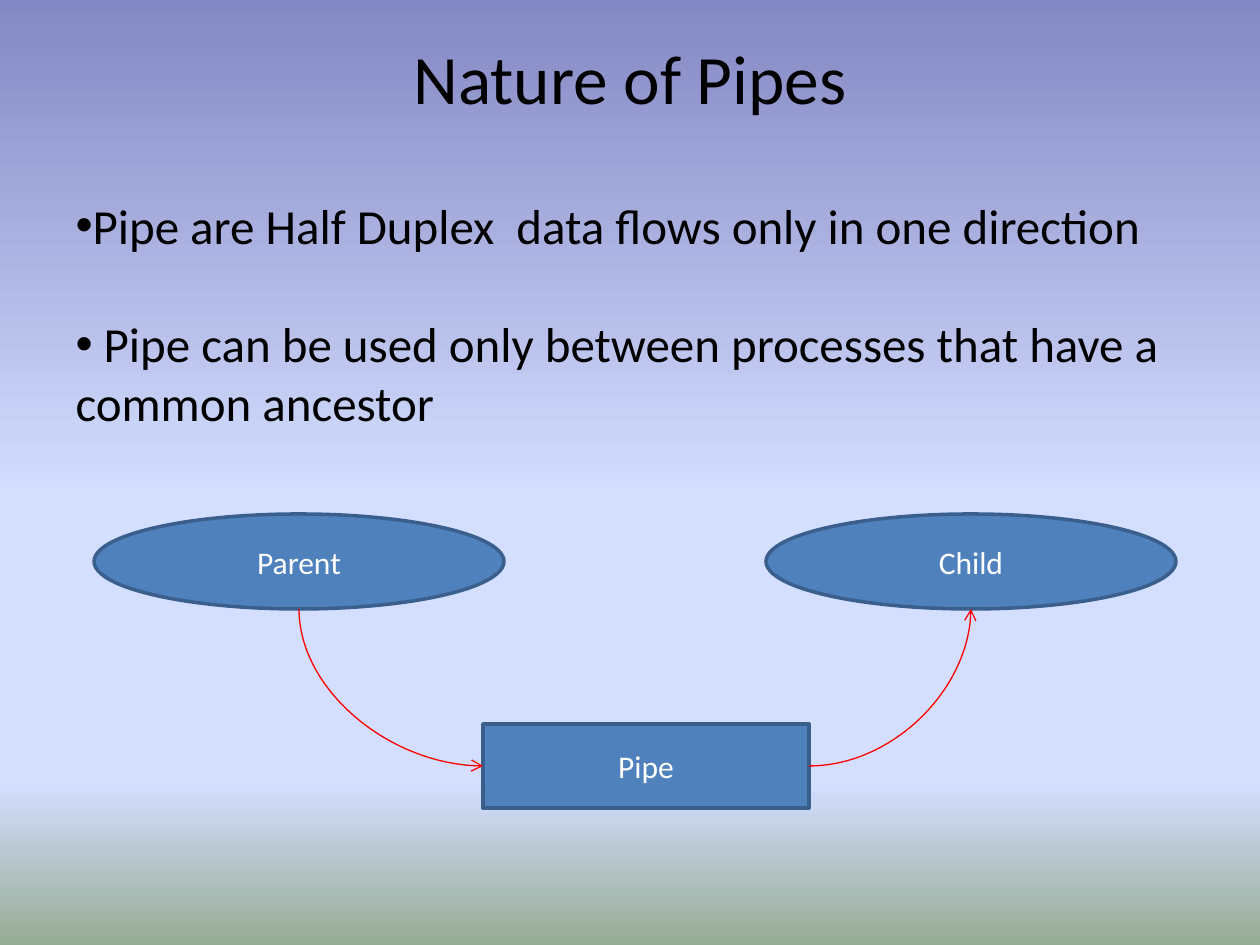
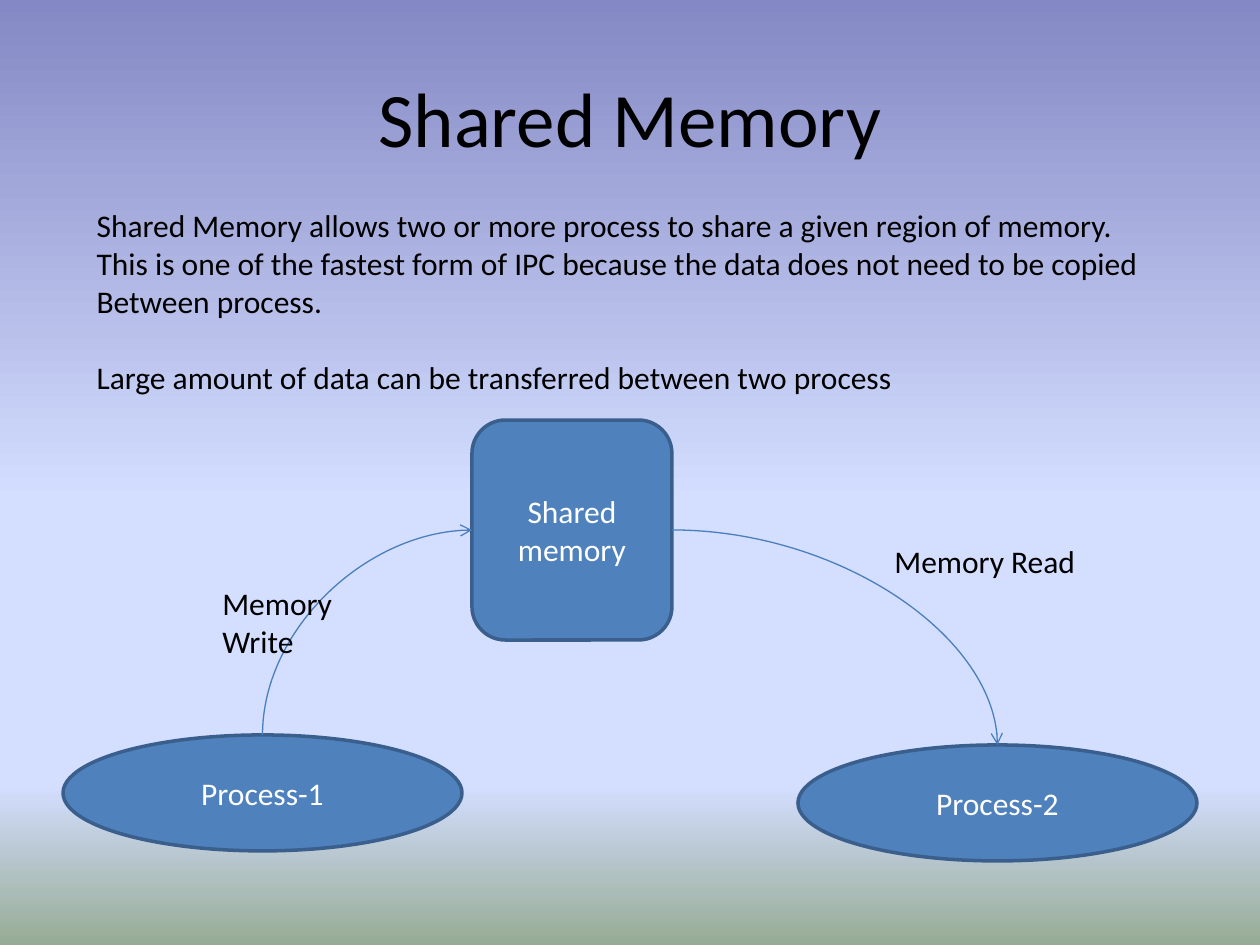
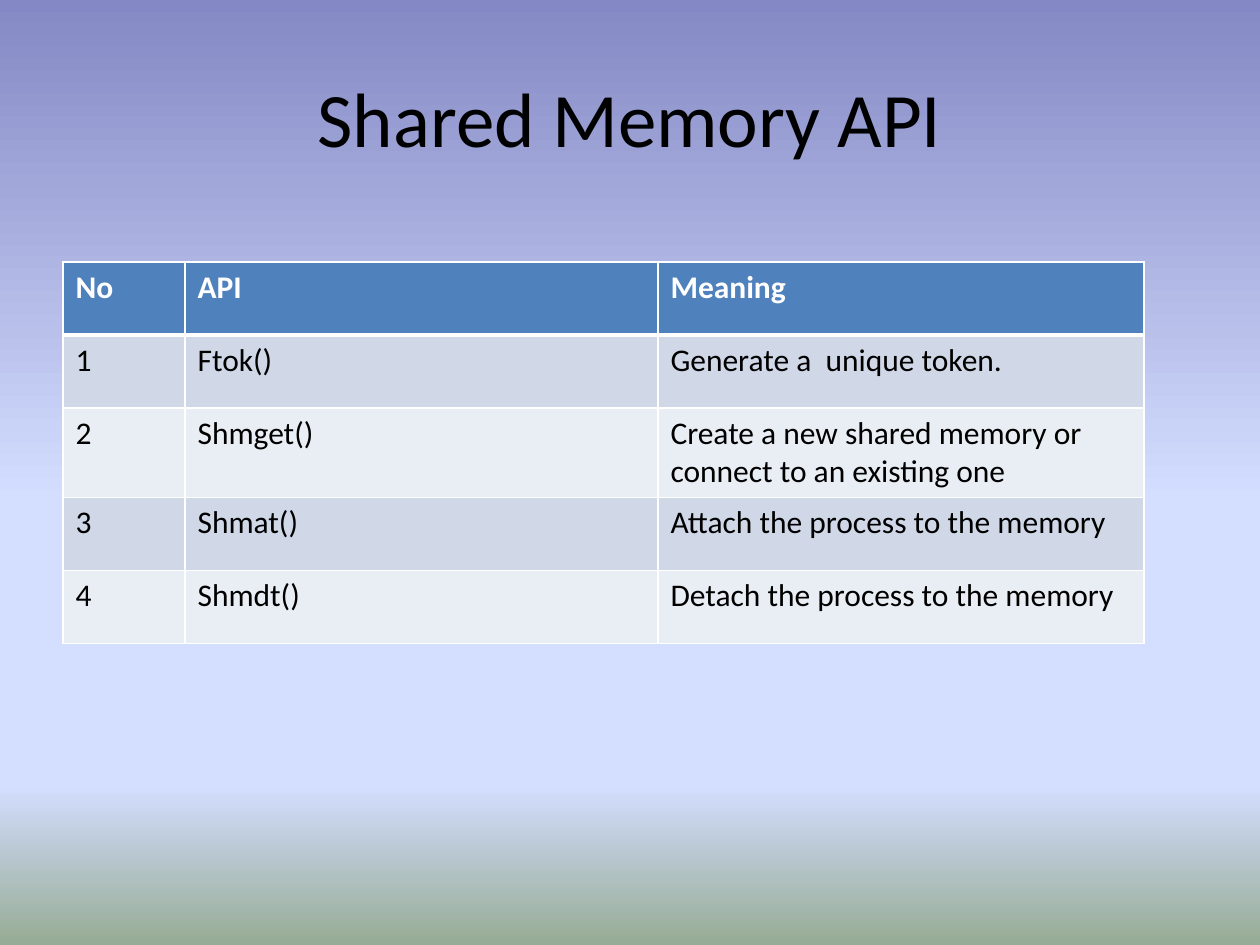
import pptx
import pptx.util
import pptx.dml.color
import pptx.enum.shapes
import pptx.enum.text
import pptx.oxml
import pptx.oxml.ns
from dataclasses import dataclass
from lxml import etree

SHAPE = pptx.enum.shapes.MSO_SHAPE
ALIGN = pptx.enum.text.PP_ALIGN
ANCHOR = pptx.enum.text.MSO_ANCHOR
FIT = pptx.enum.text.MSO_AUTO_SIZE
qn = pptx.oxml.ns.qn
PIXEL = 914400 // 126


@dataclass(frozen=True)
class Theme:
    font: str = "Calibri"
    ink: str = "000000"
    paper: str = "FFFFFF"
    node: str = "4F81BD"
    edge: str = "3A5F8C"
    pipe_arrow: str = "FF0000"
    memory_arrow: str = "4B7EBC"
    bands: tuple = ("D0D8E8", "E9EDF4")
    sky: tuple = ((0, "8488C4"), (53, "D4DEFF"), (83, "D4DEFF"), (100, "96AB94"))
    title: float = 44
    small_title: float = 39.6
    lead: float = 28
    body: float = 18
    leading: float = 1.22


THEME = Theme()

# Content: boxes are left, top, width, height in pixels
TITLE_BOX = (63, 38, 1134, 157)
PIPES = {
    "title": "Nature of Pipes",
    "title_box": (63, 38, 1134, 78),
    "title_size": THEME.small_title,
    "body_box": (63, 189, 1166, 289),
    "body_size": THEME.lead,
    "bullet": "•",
    "groups": [
        ["Pipe are Half Duplex  data flows only in one direction"],
        [" Pipe can be used only between processes that have a common ancestor"],
    ],
    "nodes": {
        "Parent": (SHAPE.OVAL, (94, 514, 410, 95)),
        "Child": (SHAPE.OVAL, (766, 514, 410, 95)),
        "Pipe": (SHAPE.RECTANGLE, (483, 724, 326, 84)),
    },
    "arrow_color": THEME.pipe_arrow,
    "arrows": [("Parent", "bottom", "Pipe", "left"), ("Pipe", "right", "Child", "bottom")],
    "labels": [],
}
MEMORY = {
    "title": "Shared Memory",
    "title_box": TITLE_BOX,
    "title_size": THEME.title,
    "body_box": (84, 200, 1080, 204),
    "body_size": THEME.body,
    "bullet": None,
    "groups": [
        [
            "Shared Memory allows two or more process to share a given region of memory.",
            "This is one of the fastest form of IPC because the data does not need to be copied",
            "Between process.",
        ],
        ["Large amount of data can be transferred between two process"],
    ],
    "nodes": {
        "Process-1": (SHAPE.OVAL, (63, 735, 399, 116)),
        "Process-2": (SHAPE.OVAL, (798, 745, 399, 116)),
        "Shared memory": (SHAPE.ROUNDED_RECTANGLE, (472, 420, 200, 220)),
    },
    "arrow_color": THEME.memory_arrow,
    "arrows": [
        ("Process-1", "top", "Shared memory", "left"),
        ("Shared memory", "right", "Process-2", "top"),
    ],
    "labels": [
        (["Memory", "Write"], (210, 578, 136, 89)),
        (["Memory Read"], (882, 536, 208, 50)),
    ],
}
API_TITLE = "Shared Memory API"
API_ORIGIN = (63, 262)
API_COLUMNS = (122, 473, 486)
API_ROW = 73
API_ROWS = [
    ("No", "API", "Meaning"),
    ("1", "Ftok()", "Generate a  unique token."),
    ("2", "Shmget()", "Create a new shared memory or connect to an existing one"),
    ("3", "Shmat()", "Attach the process to the memory"),
    ("4", "Shmdt()", "Detach the process to the memory"),
]


# Helpers
def px(*values):
    return [round(value * PIXEL) for value in values]


def rgb(code):
    return pptx.dml.color.RGBColor.from_string(code)


def apply(target, formats):
    for name, value in formats.items():
        setattr(target, name, value)


def place(shape, box):
    apply(shape, dict(zip(("left", "top", "width", "height"), px(*box))))


def write(para, text, size, color=THEME.ink, bold=False, **formats):
    span = para.add_run()
    span.text = text
    apply(span.font, {"name": THEME.font, "size": pptx.util.Pt(size), "bold": bold})
    span.font.color.rgb = rgb(color)
    apply(para, formats)


def paint(shape, fill, line, width):
    shape.shadow.inherit = False
    shape.fill.solid()
    shape.fill.fore_color.rgb = rgb(fill)
    shape.line.color.rgb = rgb(line)
    shape.line.width = pptx.util.Pt(width)


def paragraphs(frame, count):
    return [frame.paragraphs[0]] + [frame.add_paragraph() for _ in range(count - 1)]


def add_page(deck, layout, title, box, size):
    page = deck.slides.add_slide(deck.slide_layouts.get_by_name(layout))
    place(page.shapes.title, box)
    frame = page.shapes.title.text_frame
    apply(frame, {"auto_size": FIT.NONE, "vertical_anchor": ANCHOR.MIDDLE})
    write(frame.paragraphs[0], title, size, alignment=ALIGN.CENTER)
    return page


def fill_body(body, content):
    """Groups of lines, one line's height apart."""
    place(body, content["body_box"])
    size, bullet = content["body_size"], content["bullet"]
    frame = body.text_frame
    apply(frame, {"auto_size": FIT.NONE, "word_wrap": bool(bullet)})
    lines = [(text, group > 0 and row == 0)
             for group, texts in enumerate(content["groups"])
             for row, text in enumerate(texts)]
    for para, (text, gap) in zip(paragraphs(frame, len(lines)), lines):
        before = size * THEME.leading if gap else 0
        write(para, text, size, space_before=pptx.util.Pt(before))
        props = para._p.get_or_add_pPr()
        props.set("marL", "0")
        props.set("indent", "0")
        if bullet:
            etree.SubElement(props, qn("a:buChar"), char=bullet)
        else:
            etree.SubElement(props, qn("a:buNone"))


def add_node(page, text, kind, box):
    node = page.shapes.add_shape(kind, *px(*box))
    paint(node, THEME.node, THEME.edge, 2)
    node.text_frame.word_wrap = True
    node.text_frame.vertical_anchor = ANCHOR.MIDDLE
    write(node.text_frame.paragraphs[0], text, THEME.body, THEME.paper,
          alignment=ALIGN.CENTER)


def side_point(box, side):
    left, top, width, height = box
    across, down = {"left": (0, 0.5), "right": (1, 0.5),
                    "top": (0.5, 0), "bottom": (0.5, 1)}[side]
    return left + across * width, top + down * height


def add_curve(page, start, end, upright, color):
    """A quarter curve; one that leaves vertically is turned by 270 degrees."""
    if upright:
        mid_x, mid_y = (start[0] + end[0]) / 2, (start[1] + end[1]) / 2
        start, end = [(mid_x - (y - mid_y), mid_y + (x - mid_x)) for x, y in (start, end)]
    curve = page.shapes.add_connector(
        pptx.enum.shapes.MSO_CONNECTOR.CURVE, *px(*start, *end))
    curve.line.color.rgb = rgb(color)
    curve.line.width = pptx.util.Pt(0.75)
    props = curve._element.spPr
    props.find(qn("a:prstGeom")).set("prst", "curvedConnector2")
    if upright:
        props.find(qn("a:xfrm")).set("rot", str(270 * 60000))
    etree.SubElement(props.find(qn("a:ln")), qn("a:tailEnd"), type="arrow")
    etree.SubElement(props, qn("a:effectLst"))


def add_label(page, lines, box):
    label = page.shapes.add_textbox(*px(*box))
    label.text_frame.word_wrap = False
    for para, text in zip(paragraphs(label.text_frame, len(lines)), lines):
        write(para, text, THEME.body)


def add_diagram(deck, content):
    page = add_page(deck, "Title and Content", content["title"],
                    content["title_box"], content["title_size"])
    fill_body(page.placeholders[1], content)
    nodes = content["nodes"]
    for text, (kind, box) in nodes.items():
        add_node(page, text, kind, box)
    for source, leave, target, arrive in content["arrows"]:
        add_curve(page, side_point(nodes[source][1], leave),
                  side_point(nodes[target][1], arrive),
                  leave in ("top", "bottom"), content["arrow_color"])
    for lines, box in content["labels"]:
        add_label(page, lines, box)


def add_borders(cell, widths):
    props = cell._tc.get_or_add_tcPr()
    for index, (side, width) in enumerate(widths.items()):
        line = etree.Element(qn("a:ln" + side), w=str(pptx.util.Pt(width)))
        fill = etree.SubElement(line, qn("a:solidFill"))
        etree.SubElement(fill, qn("a:srgbClr"), val=THEME.paper)
        props.insert(index, line)


def add_api_table(page):
    size = (sum(API_COLUMNS), API_ROW * len(API_ROWS))
    table = page.shapes.add_table(
        len(API_ROWS), len(API_COLUMNS), *px(*API_ORIGIN, *size)).table
    for column, width in zip(table.columns, px(*API_COLUMNS)):
        column.width = width
    for row, texts in enumerate(API_ROWS):
        table.rows[row].height = px(API_ROW)[0]
        head = row == 0
        for column, text in enumerate(texts):
            cell = table.cell(row, column)
            cell.fill.solid()
            cell.fill.fore_color.rgb = rgb(THEME.node if head else THEME.bands[(row - 1) % 2])
            write(cell.text_frame.paragraphs[0], text, THEME.body,
                  THEME.paper if head else THEME.ink, head)
            add_borders(cell, {"L": 1, "R": 1, "T": 3 if row == 1 else 1, "B": 3 if head else 1})


def paint_background(master):
    fill = master.background.fill
    fill.gradient()
    fill.gradient_angle = 270
    stops = next(master._element.iter(qn("a:gsLst")))
    for stop in list(stops):
        stops.remove(stop)
    for percent, color in THEME.sky:
        stop = etree.SubElement(stops, qn("a:gs"), pos=str(percent * 1000))
        etree.SubElement(stop, qn("a:srgbClr"), val=color)


# Build the deck
deck = pptx.Presentation()
deck.slide_width, deck.slide_height = px(1260, 945)
paint_background(deck.slide_master)
add_diagram(deck, PIPES)
add_diagram(deck, MEMORY)
add_api_table(add_page(deck, "Title Only", API_TITLE, TITLE_BOX, THEME.title))
deck.save("out.pptx")
